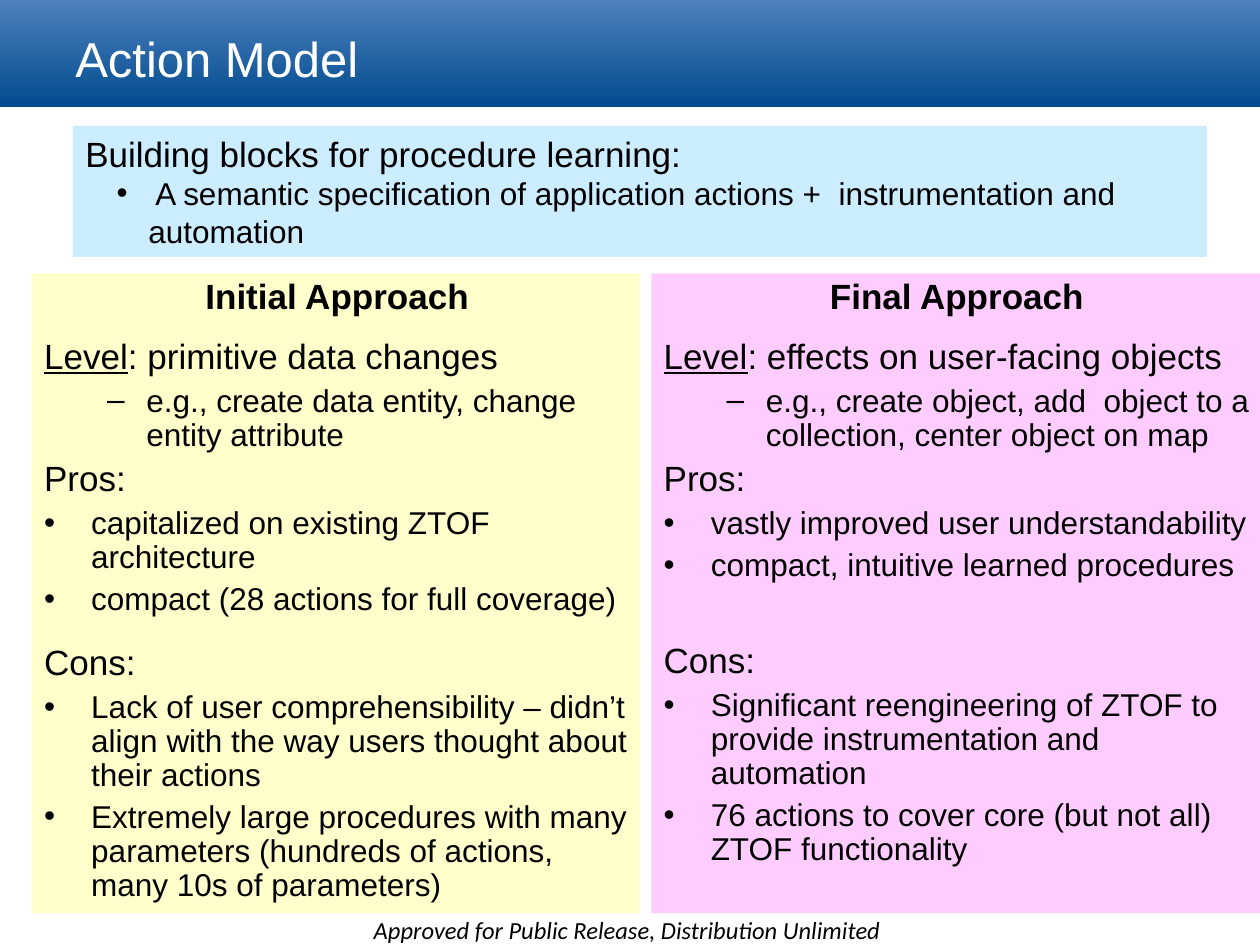
from lxml.etree import SubElement
from pptx import Presentation
from pptx.dml.color import RGBColor
from pptx.enum.shapes import MSO_SHAPE
from pptx.enum.text import MSO_ANCHOR, MSO_AUTO_SIZE, PP_ALIGN
from pptx.oxml.ns import qn
from pptx.util import Cm, Pt

BLACK = RGBColor(0x00, 0x00, 0x00)
WHITE = RGBColor(0xFF, 0xFF, 0xFF)
SKY = RGBColor(0x4F, 0x81, 0xBD)
NAVY = RGBColor(0x00, 0x4B, 0x8E)
PALE = RGBColor(0xCC, 0xEC, 0xFF)
CREAM = RGBColor(0xFF, 0xFF, 0xCC)
PINK = RGBColor(0xFF, 0xCC, 0xFF)

# Row kinds: size, left margin and indent in cm, bullet, space before
KINDS = {
    "head": (20, 0, 0, None, 0),
    "label": (20, 0.95, -0.95, None, 5),
    "dash": (18, 2.06, -0.79, "–", 4.5),
    "dot": (18, 0.95, -0.95, "•", 4.5),
    "sub": (18, 1.27, -0.64, "•", 0),
}


class Deck:
    font = "Arial"

    def __init__(self):
        self.prs = Presentation()
        self.prs.slide_width, self.prs.slide_height = Cm(25.4), Cm(19.05)
        self.slide = self.prs.slides.add_slide(self.prs.slide_layouts[6])

    def style(self, run, size, color=BLACK, name=None):
        run.font.size = Pt(size)
        run.font.name = name or self.font
        run.font.color.rgb = color

    def rect(self, x, y, w, h, fill=None):
        box = self.slide.shapes.add_shape(
            MSO_SHAPE.RECTANGLE, Cm(x), Cm(y), Cm(w), Cm(h))
        box.shadow.inherit = False
        box.line.fill.background()
        if fill is not None:
            box.fill.solid()
            box.fill.fore_color.rgb = fill
        return box

    def band(self, x, y, w, h, top, low):
        fill = self.rect(x, y, w, h).fill
        fill.gradient()
        fill.gradient_angle = 270
        for stop, color in zip(fill.gradient_stops, (top, low)):
            stop.color.rgb = color

    def label(self, text, x, y, w, h, size, color=BLACK, name=None,
              align=PP_ALIGN.LEFT):
        box = self.slide.shapes.add_textbox(Cm(x), Cm(y), Cm(w), Cm(h))
        frame = box.text_frame
        frame.word_wrap = True
        frame.vertical_anchor = MSO_ANCHOR.MIDDLE
        frame.text = text
        para = frame.paragraphs[0]
        para.alignment = align
        self.style(para.runs[0], size, color, name)
        return para.runs[0]

    def bullet(self, para, left, indent, mark):
        props = para._p.get_or_add_pPr()
        props.set("marL", str(Cm(left)))
        props.set("indent", str(Cm(indent)))
        if mark:
            SubElement(props, qn("a:buFont")).set("typeface", self.font)
            SubElement(props, qn("a:buChar")).set("char", mark)

    def panel(self, x, y, w, h, fill, rows, lead=1.0):
        frame = self.rect(x, y, w, h, fill).text_frame
        frame.word_wrap = True
        frame.vertical_anchor = MSO_ANCHOR.TOP
        frame.margin_right = Cm(0.2)
        for i, (kind, text, *gap) in enumerate(rows):
            size, left, indent, mark, before = KINDS[kind]
            para = frame.add_paragraph() if i else frame.paragraphs[0]
            para.text = text
            para.alignment = PP_ALIGN.LEFT
            self.bullet(para, left, indent, mark)
            para.line_spacing = lead
            if i:
                para.space_before = Pt(gap[0] if gap else before)
            self.style(para.runs[0], size)
        return frame

    def column(self, x, fill, title, level, rows):
        rows = [("head", title), ("label", "Level")] + rows
        frame = self.panel(x, 5.51, 12.27, 12.9, fill, rows, 0.9)
        # Centred bold heading
        head, line = frame.paragraphs[:2]
        head.alignment = PP_ALIGN.CENTER
        head.space_after = Pt(7.5)
        head.runs[0].font.bold = True
        # Underlined word, then the plain rest of the line
        line.runs[0].font.underline = True
        rest = line.add_run()
        rest.text = ": " + level
        self.style(rest, 20)


def main():
    deck = Deck()

    # Title band and footer
    deck.band(0, 0, 25.4, 2.16, SKY, NAVY)
    deck.label("Action Model", 1.27, 0, 22.86, 2.34, 28, WHITE)
    foot = deck.label("Approved for Public Release, Distribution Unlimited ",
                      6.35, 18.24, 12.7, 1.02, 14, name="Calibri",
                      align=PP_ALIGN.CENTER)
    foot.font.italic = True

    # Two approaches side by side
    deck.column(0.64, CREAM, "Initial Approach", "primitive data changes", [
        ("dash", "e.g., create data entity, change entity attribute"),
        ("label", "Pros:"),
        ("dot", "capitalized on existing ZTOF architecture"),
        ("dot", "compact (28 actions for full coverage)"),
        ("label", "Cons:", 16),
        ("dot", "Lack of user comprehensibility – didn’t align with the way "
                "users thought about their actions"),
        ("dot", "Extremely large procedures with many parameters "
                "(hundreds of actions, many 10s of parameters)"),
    ])
    deck.column(13.13, PINK, "Final Approach",
                "effects on user-facing objects", [
        ("dash", "e.g., create object, add  object to a collection, "
                 "center object on map"),
        ("label", "Pros:"),
        ("dot", "vastly improved user understandability"),
        ("dot", "compact, intuitive learned procedures"),
        ("label", "Cons:", 34.5),
        ("dot", "Significant reengineering of ZTOF to provide "
                "instrumentation and automation"),
        ("dot", "76 actions to cover core (but not all) ZTOF functionality"),
    ])

    # Summary box
    frame = deck.panel(1.47, 2.54, 22.86, 2.64, PALE, [
        ("head", "Building blocks for procedure learning:"),
        ("sub", " A semantic specification of application actions +  "
                "instrumentation and automation"),
    ])
    frame.auto_size = MSO_AUTO_SIZE.SHAPE_TO_FIT_TEXT

    deck.prs.save("out.pptx")


if __name__ == "__main__":
    main()
